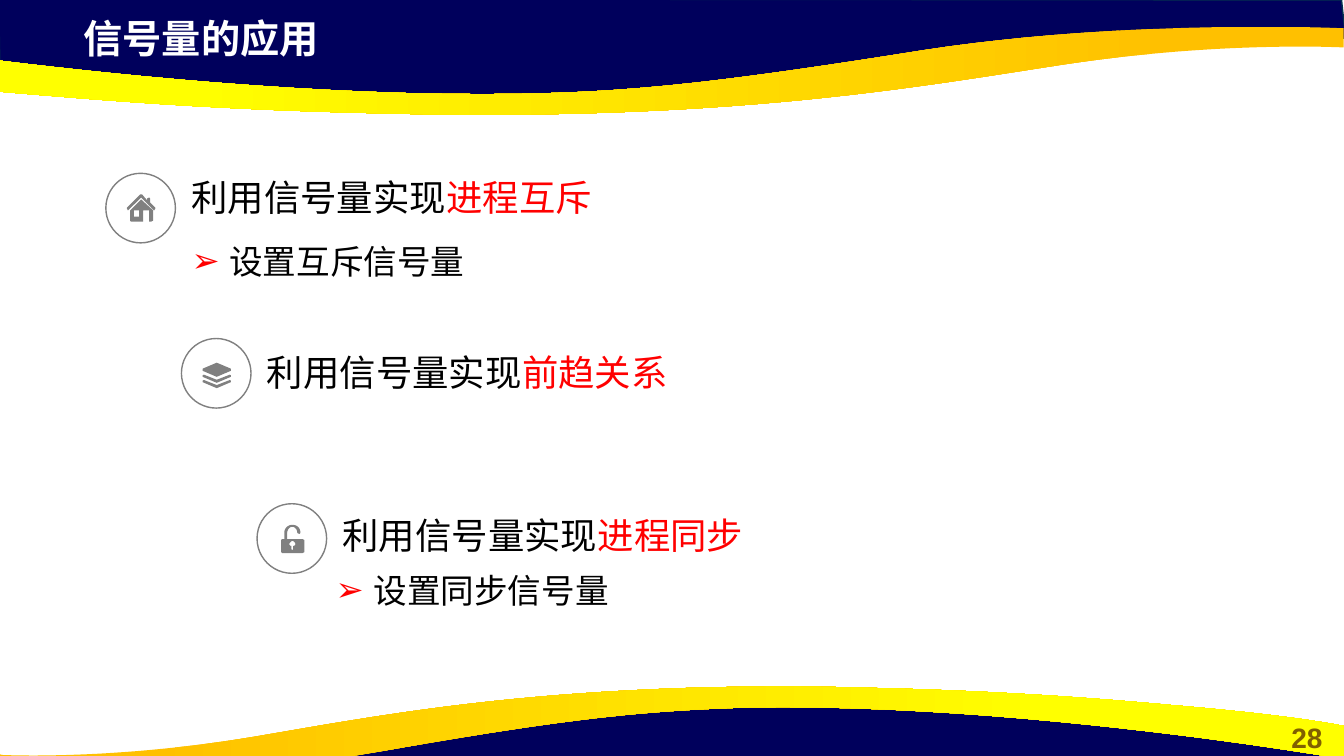
import pptx
import pptx.dml.color
import pptx.enum.shapes
import pptx.enum.text
import pptx.oxml
import pptx.oxml.ns
import pptx.util

Pt = pptx.util.Pt
ANCHOR = pptx.enum.text.MSO_ANCHOR
ALIGN = pptx.enum.text.PP_ALIGN

NAVY_TOP = [(-1, -1), (0, 50.4), (211, 73.4), (402.5, 72), (572.4, 63.4),
            (731.5, 36), (891.4, 23.8), (961.2, 27.4), (958.3, 0)]
NAVY_BOTTOM = [(959.8, 571.7), (959, 521.3), (748.8, 497.5), (556.6, 499),
               (387.4, 508.3), (228.2, 535), (68.4, 547.2), (-2.2, 544.3), (0.7, 571)]
GOLD_TOP = [(347.8, 82.1), (319, 82.1, 288.7, 81.4, 256.3, 80.6),
            (148.3, 77.8, 79.2, 72, 25.9, 67.7), (-63.4, 60.5, -93.6, 54, -95.8, 54),
            (-95.8, 30.2), (-95.8, 30.2, 157, 70.6, 372.2, 67),
            (450.7, 65.5, 509.8, 59.8, 658.8, 36), (807.1, 13, 959.8, 20.2, 959.8, 20.2),
            (959.8, 33.8), (957.6, 33.8), (939.6, 33.1, 860.4, 31, 759.6, 46.1),
            (661, 61.2, 548.6, 81.4, 347.8, 82.1)]
GOLD_BOTTOM = [(555.8, 490.3), (582.5, 490.3, 609.8, 491, 639.4, 491.8),
               (738, 494.6, 800.6, 500.4, 848.9, 504.7), (930.2, 511.9, 957.6, 518.4, 959.8, 518.4),
               (959.8, 542.2), (959.8, 542.2, 730.1, 501.8, 534.2, 505.4),
               (462.2, 507.6, 408.2, 512.6, 273.6, 536.4), (138.2, 560.2, -0.7, 553, -0.7, 553),
               (-0.7, 538.6), (1.4, 539.3), (18, 540, 90, 541.4, 181.4, 526.3),
               (270.7, 511.2, 373.7, 491, 555.8, 490.3)]

HOUSE = [
    [(20.2, 10.1), (19.4, 11.5), (18.7, 10.8), (10.1, 2.2), (1.4, 10.8), (0.7, 11.5),
     (0, 10.1), (0, 9.4), (9.4, 0), (10.8, 0), (14.4, 4.3), (14.4, 2.9), (15.8, 2.2),
     (16.6, 2.9), (16.6, 5.8), (20.2, 9.4)],
    [(18.7, 11.5), (18.7, 18.7), (17.3, 19.4), (15.8, 19.4), (15.8, 11.5), (11.5, 11.5),
     (11.5, 19.4), (2.9, 19.4), (2.2, 18.7), (2.2, 11.5), (10.1, 3.6)],
    [(8.6, 11.5), (5, 11.5), (5, 15.8), (8.6, 15.8)],
]
CHEVRON = [(20.2, 10.1), (10.1, 14.4), (0, 10.1), (0, 9), (1, 8.6),
           (10.1, 12.2), (19.4, 8.6), (20.2, 9)]
LAYERS = [
    [(20.2, 5.8), (10.1, 10.1), (0, 5.8), (0, 4.3), (10.1, 0), (20.2, 4.3)],
    CHEVRON,
    [(x, y + 3.8) for x, y in CHEVRON],
]
LOCK = [
    [(15.1, 20.2), (0.7, 20.2), (0, 19.4), (0, 10.8), (0.7, 10.1), (2.2, 10.1), (2.2, 5.8),
     (2.2, 2.2, 5, 0, 7.9, 0), (11.5, 0, 13.7, 2.2, 13.7, 5.8), (13, 6.5), (11.5, 5.8),
     (11.5, 3.6, 10.1, 1.4, 7.9, 1.4), (5.8, 1.4, 4.3, 3.6, 4.3, 5.8), (4.3, 10.1),
     (15.1, 10.1), (16.6, 10.8), (16.6, 19.4)],
    [(7.9, 11.5), (7.2, 11.5, 5.8, 13, 5.8, 13.7), (5.8, 14.4, 6.5, 15.1, 7.2, 15.1),
     (7.2, 17.3), (7.9, 18), (8.6, 17.3), (8.6, 15.1), (9.4, 15.1, 10.1, 14.4, 10.1, 13.7),
     (10.1, 13, 9.4, 11.5, 7.9, 11.5)],
]


def rgb(value):
    return pptx.dml.color.RGBColor.from_string(value)


def flatten(segments, steps=24):
    points = [segments[0]]
    for seg in segments[1:]:
        if len(seg) == 2:
            points.append(seg)
            continue
        start, a, b, end = points[-1], seg[:2], seg[2:4], seg[4:]
        for i in range(1, steps + 1):
            t = i / steps
            u = 1 - t
            points.append(tuple(
                u ** 3 * start[k] + 3 * u * u * t * a[k] + 3 * u * t * t * b[k] + t ** 3 * end[k]
                for k in (0, 1)))
    return points


class SlideBuilder:
    font = "Arial"
    navy, navy_edge = "00005C", "05304F"
    orange, yellow = "FFC000", "FFFF00"
    grey, black, red, white, olive = "808080", "000000", "FF0000", "FFFFFF", "806000"

    def __init__(self, slide):
        self.slide = slide
        self.shapes = slide.shapes

    def outline(self, contours, left=0, top=0):
        builder = None
        for contour in contours:
            points = [(Pt(left + x), Pt(top + y)) for x, y in flatten(contour)]
            if builder is None:
                builder = self.shapes.build_freeform(*points[0], scale=1.0)
            else:
                builder.move_to(*points[0])
            builder.add_line_segments(points[1:], close=True)
        sp = builder.convert_to_shape()
        sp.shadow.inherit = False
        sp.line.fill.background()
        return sp

    def navy_wave(self, contour):
        sp = self.outline([contour])
        sp.fill.solid()
        sp.fill.fore_color.rgb = rgb(self.navy)
        sp.line.color.rgb = rgb(self.navy_edge)
        sp.line.width = Pt(1)

    def gold_wave(self, contour, angle):
        sp = self.outline([contour])
        sp.fill.gradient()
        sp.fill.gradient_angle = angle
        stops = zip(sp.fill.gradient_stops, (0.11, 0.78), (self.orange, self.yellow))
        for stop, position, color in stops:
            stop.position = position
            stop.color.rgb = rgb(color)

    def icon(self, contours, left, top):
        sp = self.outline(contours, left, top)
        sp.fill.solid()
        sp.fill.fore_color.rgb = rgb(self.grey)

    def circle(self, left, top, size):
        sp = self.shapes.add_shape(pptx.enum.shapes.MSO_SHAPE.OVAL,
                                   Pt(left), Pt(top), Pt(size), Pt(size))
        sp.shadow.inherit = False
        sp.fill.background()
        sp.line.color.rgb = rgb(self.grey)
        sp.line.width = Pt(1)

    def set_text(self, sp, parts, size, bold=False, anchor=ANCHOR.MIDDLE, align=ALIGN.LEFT):
        tf = sp.text_frame
        tf.word_wrap = True
        tf.auto_size = pptx.enum.text.MSO_AUTO_SIZE.NONE
        tf.vertical_anchor = anchor
        p = tf.paragraphs[0]
        p.text = parts[0][0]
        for text, _ in parts[1:]:
            p.add_run().text = text
        p.alignment = align
        for r, (_, color) in zip(p.runs, parts):
            r.font.name = self.font
            r.font.size = Pt(size)
            r.font.bold = bold
            r.font.color.rgb = rgb(color)
        return p

    def textbox(self, box, parts, size, **style):
        sp = self.shapes.add_textbox(*map(Pt, box))
        return self.set_text(sp, parts, size, **style)

    def placeholder(self, idx, box, parts, size, **style):
        sp = self.slide.placeholders[idx]
        sp.left, sp.top, sp.width, sp.height = map(Pt, box)
        self.shapes._spTree.append(sp._element)
        return self.set_text(sp, parts, size, **style)

    def bullet(self, idx, box, text):
        p = self.placeholder(idx, box, [(text, self.black)], 24, anchor=ANCHOR.TOP)
        pPr = p._p.get_or_add_pPr()
        pPr.set("marL", str(Pt(27)))
        pPr.set("indent", str(-Pt(27)))
        ns = pptx.oxml.ns.nsdecls("a")
        for xml in (f'<a:buClr {ns}><a:srgbClr val="{self.red}"/></a:buClr>',
                    f'<a:buFont {ns} typeface="{self.font}"/>',
                    f'<a:buChar {ns} char="➢"/>'):
            pPr.append(pptx.oxml.parse_xml(xml))
        p.line_spacing = 1.2
        p.space_before = Pt(0)


def main():
    prs = pptx.Presentation()
    prs.slide_width, prs.slide_height = Pt(960), Pt(540)
    s = SlideBuilder(prs.slides.add_slide(prs.slide_layouts[3]))

    s.navy_wave(NAVY_TOP)
    s.gold_wave(GOLD_TOP, 180)
    s.navy_wave(NAVY_BOTTOM)
    s.gold_wave(GOLD_BOTTOM, 0)
    s.textbox((907.2, 510.5, 52.6, 31.7), [("28", s.olive)], 20, bold=True, align=ALIGN.CENTER)
    s.placeholder(0, (52.6, 6.5, 553, 41), [("信号量的应用", s.white)], 28, bold=True)

    topics = [("进程互斥", 0.7, HOUSE, 15.1, 15.1),
              ("前趋关系", 7.9, LAYERS, 15.1, 17.3),
              ("进程同步", 6.5, LOCK, 17.3, 15.1)]
    for i, (topic, drop, icon, dx, dy) in enumerate(topics):
        left, top = 75.6 + 54 * i, 123.8 + 118 * i
        s.circle(left, top, 49.7)
        s.icon(icon, left + dx, top + dy)
        s.textbox((left + 54, top + drop, 380, 31.7),
                  [("利用信号量实现", s.black), (topic, s.red)], 26)

    s.bullet(1, (129.6, 162.7, 306.7, 51.8), "设置互斥信号量")
    s.bullet(2, (232.6, 397.4, 242, 36.7), "设置同步信号量")
    prs.save("out.pptx")


if __name__ == "__main__":
    main()
